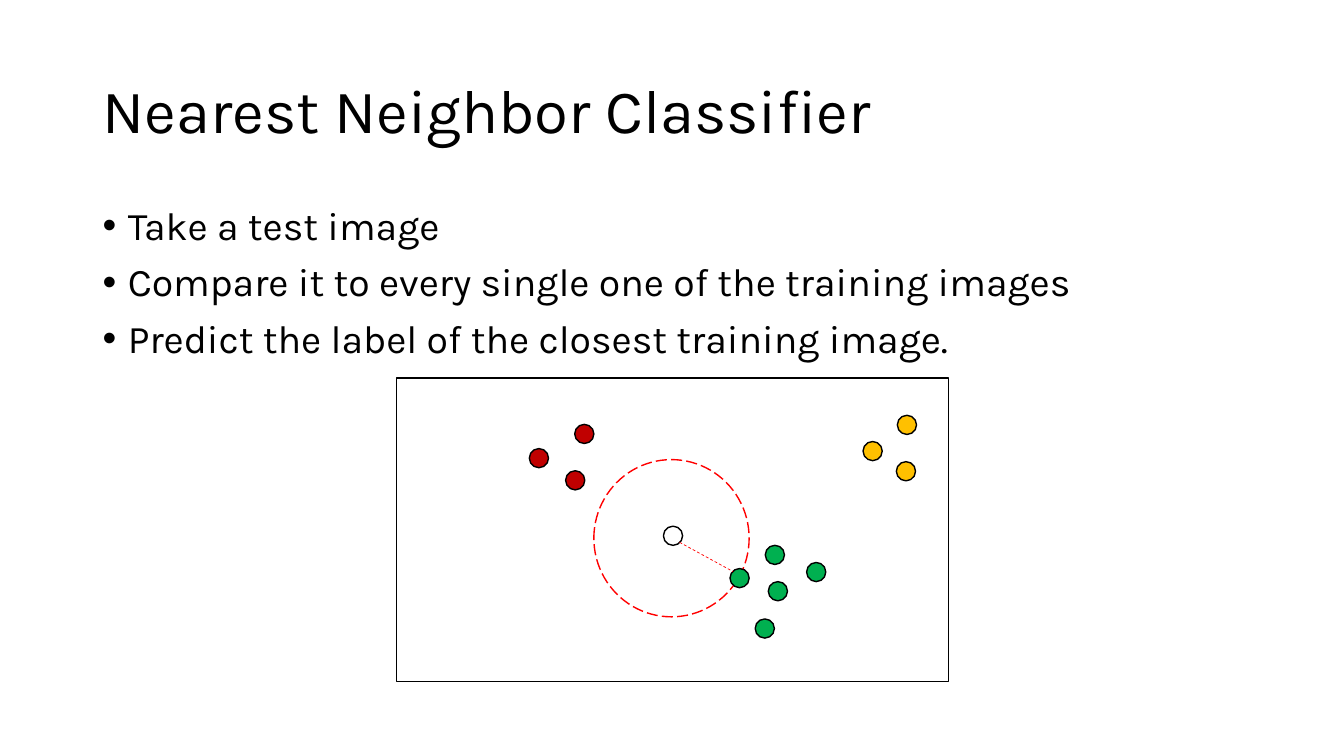
from dataclasses import dataclass
from typing import Optional

from lxml import etree
from pptx import Presentation
from pptx.dml.color import RGBColor
from pptx.enum.dml import MSO_LINE as Dash
from pptx.enum.shapes import MSO_CONNECTOR as Link, MSO_SHAPE as Kind
from pptx.enum.text import MSO_ANCHOR as Anchor, MSO_AUTO_SIZE as Fit, PP_ALIGN as Align
from pptx.oxml.ns import qn
from pptx.util import Inches, Pt

FONT = "Karla"
BLACK, RED = "000000", "FF0000"
DOT = 0.19
STEPS = [
    "Take a test image",
    "Compare it to every single one of the training images",
    "Predict the label of the closest training image.",
]


@dataclass
class Group:
    fill: Optional[str]
    spots: list[tuple[float, float]]


GROUPS = [
    Group("C00000", [(5.25, 4.45), (5.7, 4.21), (5.61, 4.67)]),
    Group("FFC000", [(8.9, 4.12), (8.56, 4.38), (8.89, 4.58)]),
    Group("00B050", [(7.24, 5.64), (7.62, 5.77), (7.59, 5.41), (8, 5.58), (7.49, 6.14)]),
    Group(None, [(6.58, 5.22)]),
]


def paint(part, color: str) -> None:
    """Set a solid colour on a fill."""
    part.solid()
    part.fore_color.rgb = RGBColor.from_string(color)


def stroke(line, color: str, width: float, dash=None) -> None:
    paint(line.fill, color)
    line.width = Pt(width)
    if dash is not None:
        line.dash_style = dash


def style(para, size: float) -> None:
    para.alignment = Align.LEFT
    para.line_spacing = 0.9
    for run in para.runs:
        run.font.name = FONT
        run.font.size = Pt(size)
        paint(run.font.fill, BLACK)


def bullet(para) -> None:
    props = para._p.get_or_add_pPr()
    props.set("marL", str(Inches(0.25)))
    props.set("indent", str(Inches(-0.25)))
    etree.SubElement(props, qn("a:buFont")).set("typeface", "Arial")
    etree.SubElement(props, qn("a:buChar")).set("char", "•")


def draw(slide, kind: Kind, box: tuple, fill: Optional[str] = None,
         color: str = BLACK, dash=None) -> None:
    shape = slide.shapes.add_shape(kind, *map(Inches, box))
    shape.shadow.inherit = False
    if fill:
        paint(shape.fill, fill)
    else:
        shape.fill.background()
    stroke(shape.line, color, 1, dash)


def write(slide) -> None:
    # Title
    title = slide.shapes.title
    title.left, title.top, title.width, title.height = map(Inches, (0.92, 0.4, 11.5, 1.45))
    frame = title.text_frame
    frame.text = "Nearest Neighbor Classifier"
    frame.auto_size = Fit.NONE
    frame.vertical_anchor = Anchor.MIDDLE
    style(frame.paragraphs[0], 44)

    # Steps
    body = slide.shapes.add_textbox(*map(Inches, (0.92, 2, 11.5, 4.76))).text_frame
    body.word_wrap = True
    body.text = "\n".join(STEPS)
    for para in body.paragraphs:
        style(para, 28)
        para.space_before = Pt(10)
        bullet(para)


def plot(slide) -> None:
    # Frame and search radius
    draw(slide, Kind.RECTANGLE, (3.93, 3.75, 5.48, 3.01))
    draw(slide, Kind.OVAL, (5.89, 4.56, 1.54, 1.56), color=RED, dash=Dash.LONG_DASH)

    # Training points by class, then the test point
    for group in GROUPS:
        for left, top in group.spots:
            draw(slide, Kind.FLOWCHART_CONNECTOR, (left, top, DOT, DOT), group.fill)

    # Distance to the nearest neighbor
    link = slide.shapes.add_connector(Link.STRAIGHT, *map(Inches, (6.74, 5.38, 7.27, 5.67)))
    stroke(link.line, RED, 0.5, Dash.DASH)
    etree.SubElement(link._element.spPr, qn("a:effectLst"))


def main() -> None:
    deck = Presentation()
    deck.slide_width, deck.slide_height = Inches(13.33), Inches(7.5)
    slide = deck.slides.add_slide(deck.slide_layouts[5])
    paint(slide.background.fill, "FFFFFF")
    write(slide)
    plot(slide)
    deck.save("out.pptx")


if __name__ == "__main__":
    main()
